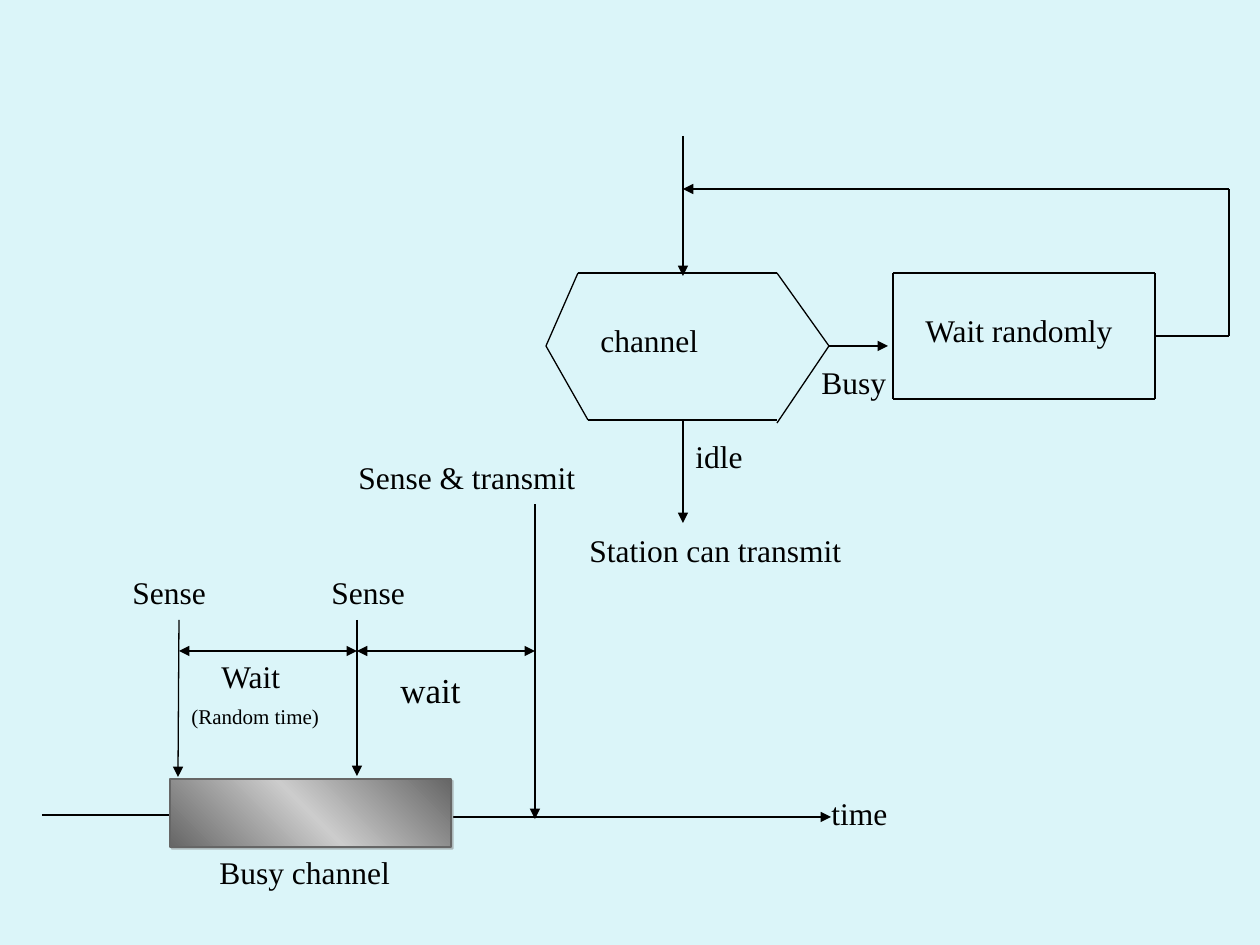
"""Build the flowchart and timeline slide for channel sensing with random waits."""
from dataclasses import dataclass
from itertools import pairwise

from pptx import Presentation
from pptx import util as u
from pptx.dml.color import RGBColor
from pptx.enum import shapes, text
from pptx.oxml import parse_xml
from pptx.oxml.ns import nsdecls, qn

PX = 914400 / 126
FONT = "Times New Roman"
COLORS = {"back": "DBF5F9", "ink": "000000", "dark": "666666", "light": "CCCCCC", "shadow": "7F7F7F"}


@dataclass
class Path:
    points: list[tuple[int, int]]
    head: bool = False
    tail: bool = False


@dataclass
class Line:
    text: str
    size: int = 18
    indent: int = 0
    before: int = 0


@dataclass
class Label:
    x: int
    y: int
    w: int
    h: int
    lines: list[Line]


TIMELINE = [
    Path([(42, 815), (173, 815)]),
    Path([(453, 817), (831, 817)], tail=True),
    Path([(179, 620), (178, 777)], tail=True),
    Path([(357, 620), (357, 776)], tail=True),
    Path([(535, 504), (535, 819)], tail=True),
    Path([(179, 651), (357, 651)], head=True, tail=True),
    Path([(357, 651), (535, 651)], head=True, tail=True),
]

FLOWCHART = [
    Path([(578, 273), (777, 273), (829, 346), (777, 423)]),
    Path([(578, 273), (546, 346), (588, 420), (777, 420)]),
    Path([(829, 346), (888, 346)], tail=True),
    Path([(893, 273), (1155, 273), (1155, 399), (893, 399), (893, 273)]),
    Path([(1155, 336), (1229, 336), (1229, 189)]),
    Path([(1229, 189), (683, 189)], tail=True),
    Path([(683, 136), (683, 276)], tail=True),
    Path([(683, 420), (683, 523)], tail=True),
]

LABELS = [
    Label(588, 315, 189, 50, [Line("channel")]),
    Label(913, 305, 221, 50, [Line("Wait randomly")]),
    Label(683, 431, 105, 50, [Line("idle")]),
    Label(809, 357, 95, 50, [Line("Busy")]),
    Label(577, 525, 357, 50, [Line("Station can transmit")]),
    Label(346, 452, 252, 50, [Line("Sense & transmit")]),
    Label(120, 567, 142, 50, [Line("Sense")]),
    Label(319, 567, 142, 50, [Line("Sense")]),
    Label(179, 651, 158, 88, [Line("Wait", indent=30), Line("(Random time)", 12, before=5)]),
    Label(388, 662, 126, 55, [Line("wait", 20)]),
    Label(819, 788, 158, 50, [Line("time")]),
    Label(207, 847, 221, 50, [Line("Busy channel")]),
]


def emu(px: int) -> int:
    return round(px * PX)


def color(name: str) -> RGBColor:
    return RGBColor.from_string(COLORS[name])


def draw_path(s, path: Path) -> None:
    for start, end in pairwise(path.points):
        c = s.shapes.add_connector(shapes.MSO_CONNECTOR.STRAIGHT, *map(emu, start + end))
        c.line.color.rgb = color("ink")
        c.line.width = u.Pt(0.75)
        ln = c.line._get_or_add_ln()
        for tag, wanted in (("headEnd", path.head), ("tailEnd", path.tail)):
            if wanted:
                ln.append(parse_xml(f'<a:{tag} {nsdecls("a")} type="triangle"/>'))
        c._element.spPr.append(parse_xml(f'<a:effectLst {nsdecls("a")}/>'))


def draw_label(s, label: Label) -> None:
    tf = s.shapes.add_textbox(*map(emu, (label.x, label.y, label.w, label.h))).text_frame
    tf.word_wrap = True
    tf.auto_size = text.MSO_AUTO_SIZE.SHAPE_TO_FIT_TEXT
    for i, line in enumerate(label.lines):
        p = tf.add_paragraph() if i else tf.paragraphs[0]
        p.text = line.text
        if line.indent:
            p._p.get_or_add_pPr().set("marL", str(emu(line.indent)))
        if line.before:
            p.space_before = u.Pt(line.before)
        for r in p.runs:
            r.font.name = FONT
            r.font.size = u.Pt(line.size)
            r.font.color.rgb = color("ink")


def draw_busy_block(s, x: int, y: int, w: int, h: int) -> None:
    sp = s.shapes.add_shape(shapes.MSO_SHAPE.RECTANGLE, *map(emu, (x, y, w, h)))
    sp.shadow.inherit = False
    sp.line.color.rgb = color("dark")
    sp.line.width = u.Pt(1)
    stops = "".join(
        f'<a:gs pos="{pos}"><a:srgbClr val="{COLORS[name]}"/></a:gs>'
        for pos, name in ((0, "dark"), (50000, "light"), (100000, "dark"))
    )
    spPr = sp._element.spPr
    spPr.find(qn("a:prstGeom")).addnext(parse_xml(
        f'<a:gradFill {nsdecls("a")}><a:gsLst>{stops}</a:gsLst><a:lin ang="18900000" scaled="0"/></a:gradFill>'
    ))
    spPr.find(qn("a:effectLst")).append(parse_xml(
        f'<a:outerShdw {nsdecls("a")} dist="{u.Pt(1.4)}" dir="2700000" algn="ctr" rotWithShape="0">'
        f'<a:srgbClr val="{COLORS["shadow"]}"><a:alpha val="50000"/></a:srgbClr></a:outerShdw>'
    ))


def main() -> None:
    prs = Presentation()
    prs.slide_width, prs.slide_height = emu(1260), emu(945)
    s = prs.slides.add_slide(prs.slide_layouts[6])
    s.background.fill.solid()
    s.background.fill.fore_color.rgb = color("back")
    for path in TIMELINE:
        draw_path(s, path)
    draw_busy_block(s, 170, 779, 281, 68)
    for path in FLOWCHART:
        draw_path(s, path)
    for label in LABELS:
        draw_label(s, label)
    prs.save("out.pptx")


if __name__ == "__main__":
    main()
